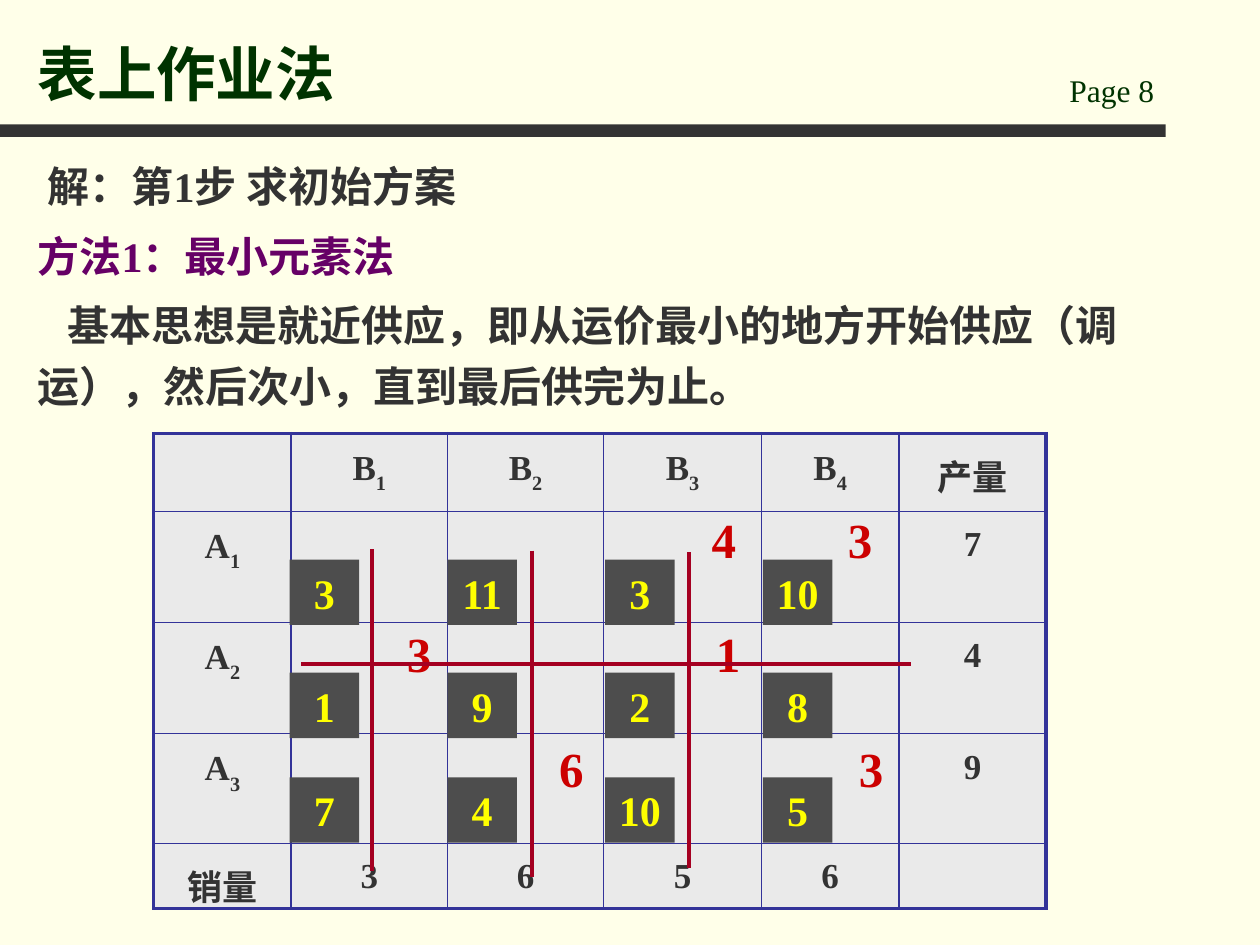
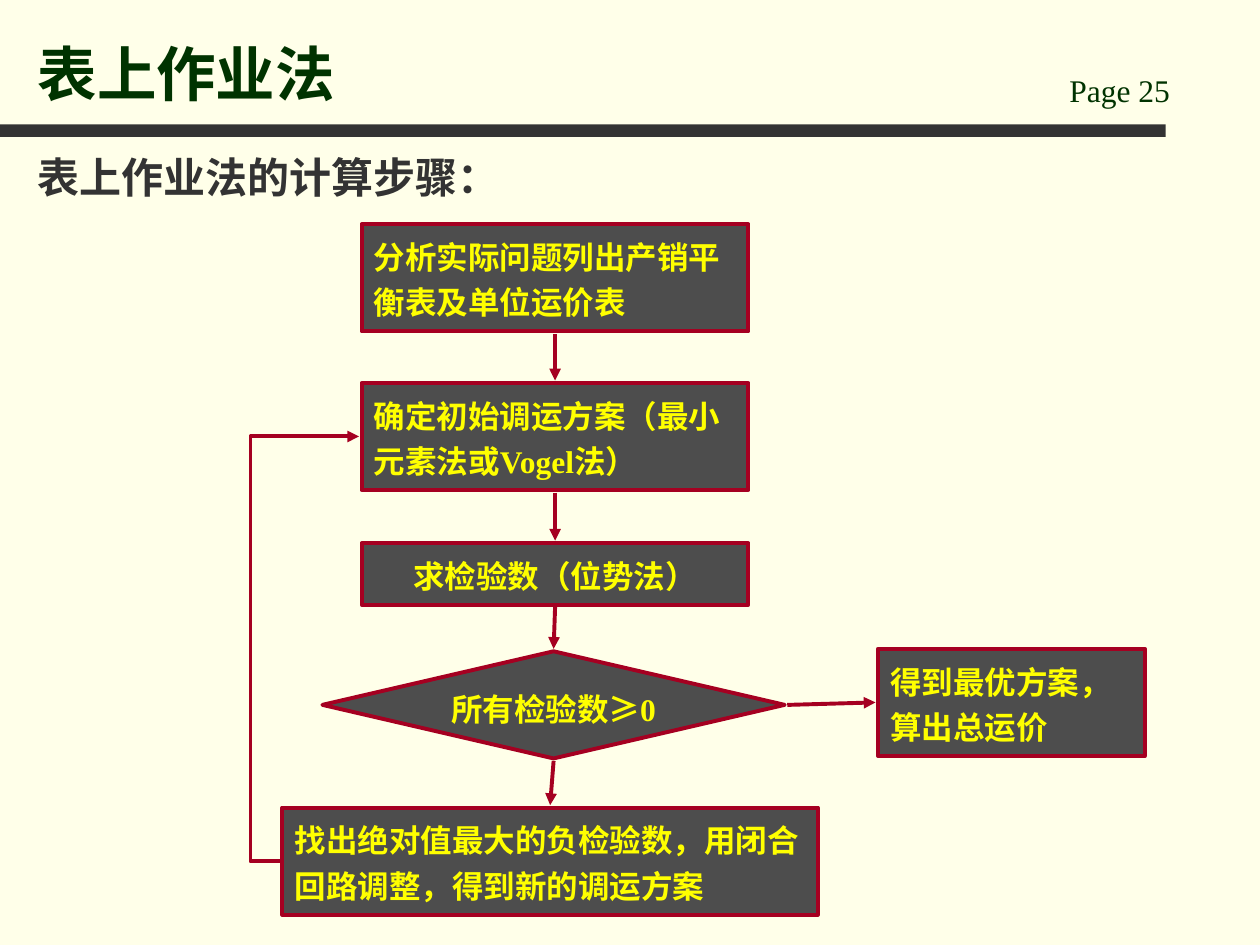
from lxml import etree
from pptx import Presentation
from pptx.dml.color import RGBColor
from pptx.enum.shapes import MSO_CONNECTOR, MSO_SHAPE
from pptx.enum.text import MSO_ANCHOR, PP_ALIGN
from pptx.oxml.ns import qn
from pptx.util import Cm, Pt

RECTANGLE, DECISION = MSO_SHAPE.RECTANGLE, MSO_SHAPE.FLOWCHART_DECISION
STRAIGHT, ELBOW = MSO_CONNECTOR.STRAIGHT, MSO_CONNECTOR.ELBOW
TOP, MIDDLE, BOTTOM = MSO_ANCHOR.TOP, MSO_ANCHOR.MIDDLE, MSO_ANCHOR.BOTTOM
LEFT, CENTER = PP_ALIGN.LEFT, PP_ALIGN.CENTER

FONT = "Times New Roman"
CREAM = RGBColor(0xFF, 0xFF, 0xE9)
CHARCOAL = RGBColor(0x33, 0x33, 0x33)
DARK_GREEN = RGBColor(0x00, 0x33, 0x00)
PURPLE = RGBColor(0x66, 0x00, 0x66)
BOX_GRAY = RGBColor(0x4D, 0x4D, 0x4D)
CELL_GRAY = RGBColor(0xEA, 0xEA, 0xEA)
BORDER_BLUE = RGBColor(0x33, 0x33, 0x99)
YELLOW = RGBColor(0xFF, 0xFF, 0x00)
RED = RGBColor(0xCC, 0x00, 0x00)
CRIMSON = RGBColor(0xA5, 0x00, 0x21)

# Content; all lengths in centimetres
TITLE = "表上作业法"

STEP_HEADING = "解：第1步 求初始方案"
METHOD_NAME = "方法1：最小元素法"
METHOD_IDEA = "基本思想是就近供应，即从运价最小的地方开始供应（调运），然后次小，直到最后供完为止。"

# A tuple is a letter with its subscript
BALANCE_TABLE = [
    ["", ("B", "1"), ("B", "2"), ("B", "3"), ("B", "4"), "产量"],
    [("A", "1"), "", "", "", "", "7"],
    [("A", "2"), "", "", "", "", "4"],
    [("A", "3"), "", "", "", "", "9"],
    ["销量", "3", "6", "5", "6", ""],
]
COLUMN_WIDTHS = [2.77, 3.15, 3.15, 3.18, 2.77, 2.97]
ROW_HEIGHTS = [1.57, 2.24, 2.24, 2.21, 1.32]

COST_ROWS = [  # top, unit costs
    (11.28, ["3", "11", "3", "10"]),
    (13.56, ["1", "9", "2", "8"]),
    (15.67, ["7", "4", "10", "5"]),
]
COST_LEFT, COST_PITCH = 5.84, 3.18
NUMBER_WIDTH, NUMBER_HEIGHT = 1.4, 1.32

SHIPMENTS = [  # amount, centre
    ("4", 14.59, 10.87), ("3", 17.34, 10.87),
    ("3", 8.45, 13.16), ("1", 14.68, 13.16),
    ("6", 11.52, 15.49), ("3", 17.56, 15.49),
]
STRIKE_LINES = [
    ((7.49, 11.07), (7.49, 17.55)),
    ((10.72, 11.1), (10.72, 17.68)),
    ((13.89, 11.13), (13.89, 17.5)),
    ((6.07, 13.39), (18.36, 13.39)),
]

STEPS_HEADING = "表上作业法的计算步骤："
FLOW_BOXES = {  # name: text, (left, top, width, height), shape, alignment
    "list": ("分析实际问题列出产销平衡表及单位运价表",
             (7.29, 4.52, 7.8, 2.16), RECTANGLE, LEFT),
    "initial": ("确定初始调运方案（最小元素法或Vogel法）",
                (7.29, 7.72, 7.8, 2.16), RECTANGLE, LEFT),
    "test": ("求检验数（位势法）", (7.29, 10.95, 7.8, 1.24), RECTANGLE, CENTER),
    "decision": ("所有检验数≥0", (6.5, 13.13, 9.32, 2.16), DECISION, CENTER),
    "adjust": ("找出绝对值最大的负检验数，用闭合回路调整，得到新的调运方案",
               (5.69, 16.28, 10.8, 2.16), RECTANGLE, LEFT),
    "result": ("得到最优方案，算出总运价", (17.7, 13.08, 5.38, 2.16), RECTANGLE, LEFT),
}
DOWNWARD_FLOW = ["list", "initial", "test", "decision", "adjust"]
ARROW_GAP = 0.05
LOOP_LEFT = 5.05


def format_paragraph(paragraph, size, color, bold=True, align=LEFT, spacing=1.0):
    paragraph.alignment = align
    paragraph.line_spacing = spacing
    for run in paragraph.runs:
        run.font.name = FONT
        run.font.size = Pt(size)
        run.font.bold = bold
        run.font.color.rgb = color


def write(shape, text, size, color, bold=True, align=LEFT, anchor=TOP,
          spacing=1.0, wrap=True):
    text_frame = shape.text_frame
    text_frame.text = text
    text_frame.word_wrap = wrap
    text_frame.vertical_anchor = anchor
    format_paragraph(text_frame.paragraphs[0], size, color, bold, align, spacing)
    return text_frame


def add_text(slide, box, text, size, color, **style):
    textbox = slide.shapes.add_textbox(*map(Cm, box))
    return write(textbox, text, size, color, **style)


def add_box(slide, box, fill, kind=RECTANGLE, outline=None):
    shape = slide.shapes.add_shape(kind, *map(Cm, box))
    shape.shadow.inherit = False
    shape.fill.solid()
    shape.fill.fore_color.rgb = fill
    if outline is None:
        shape.line.fill.background()
    else:
        shape.line.color.rgb = outline
        shape.line.width = Pt(2.25)
    return shape


def add_line(slide, start, end, kind=STRAIGHT, arrow=False):
    connector = slide.shapes.add_connector(kind, *map(Cm, start + end))
    connector.line.color.rgb = CRIMSON
    connector.line.width = Pt(2.25)
    properties = connector._element.spPr
    if arrow:
        etree.SubElement(properties.find(qn("a:ln")), qn("a:tailEnd"), type="triangle")
    etree.SubElement(properties, qn("a:effectLst"))
    return connector


def add_base_slide(presentation, page):
    slide = presentation.slides.add_slide(presentation.slide_layouts[6])
    slide.background.fill.solid()
    slide.background.fill.fore_color.rgb = CREAM
    add_box(slide, (0, 2.51, 23.5, 0.25), CHARCOAL)
    add_text(slide, (21.31, 1.3, 3.61, 1.02), f"Page {page}", 18, DARK_GREEN, bold=False)
    add_text(slide, (0.51, 0.33, 20.4, 1.98), TITLE, 34, DARK_GREEN, anchor=BOTTOM)
    return slide


def set_borders(cell, widths):
    properties = cell._tc.get_or_add_tcPr()
    for index, (side, width) in enumerate(zip("LRTB", widths)):
        line = etree.Element(qn(f"a:ln{side}"), w=str(Pt(width)))
        fill = etree.SubElement(line, qn("a:solidFill"))
        etree.SubElement(fill, qn("a:srgbClr"), val=str(BORDER_BLUE))
        properties.insert(index, line)


def add_balance_table(slide):
    last_row, last_column = len(ROW_HEIGHTS) - 1, len(COLUMN_WIDTHS) - 1
    table = slide.shapes.add_table(
        last_row + 1, last_column + 1, Cm(3.1), Cm(8.74),
        Cm(sum(COLUMN_WIDTHS)), Cm(sum(ROW_HEIGHTS))).table
    table.first_row = table.horz_banding = False
    for column, width in zip(table.columns, COLUMN_WIDTHS):
        column.width = Cm(width)
    for row, height in zip(table.rows, ROW_HEIGHTS):
        row.height = Cm(height)

    for r, values in enumerate(BALANCE_TABLE):
        for c, value in enumerate(values):
            cell = table.cell(r, c)
            cell.fill.solid()
            cell.fill.fore_color.rgb = CELL_GRAY
            outer_sides = (c == 0, c == last_column, r == 0, r == last_row)
            set_borders(cell, [2.25 if outer else 1 for outer in outer_sides])
            paragraph = cell.text_frame.paragraphs[0]
            for part in value:
                paragraph.add_run().text = part
            format_paragraph(paragraph, 20, CHARCOAL, align=CENTER, spacing=1.2)
            if isinstance(value, tuple):
                paragraph.runs[1].font._element.set("baseline", "-30000")


def build_initial_plan(presentation):
    slide = add_base_slide(presentation, 8)
    add_text(slide, (0.71, 3.12, 22.61, 1.4), STEP_HEADING, 24, CHARCOAL)

    # Method description
    text_frame = add_text(slide, (0.51, 4.32, 23.22, 4.11), METHOD_NAME, 24, PURPLE,
                          spacing=1.2)
    paragraph = text_frame.add_paragraph()
    paragraph.text = METHOD_IDEA
    paragraph.space_before = Pt(5)
    paragraph._p.get_or_add_pPr().set("indent", str(Cm(0.6)))
    format_paragraph(paragraph, 24, CHARCOAL, spacing=1.2)

    add_balance_table(slide)

    # Unit costs in the table's cells
    for top, costs in COST_ROWS:
        for column, cost in enumerate(costs):
            left = COST_LEFT + column * COST_PITCH
            shape = add_box(slide, (left, top, NUMBER_WIDTH, NUMBER_HEIGHT), BOX_GRAY)
            write(shape, cost, 24, YELLOW, align=CENTER, anchor=MIDDLE, wrap=False)

    # Shipped amounts, then the struck-out rows and columns
    for amount, x, y in SHIPMENTS:
        box = (x - NUMBER_WIDTH / 2, y - NUMBER_HEIGHT / 2, NUMBER_WIDTH, NUMBER_HEIGHT)
        add_text(slide, box, amount, 28, RED, align=CENTER, anchor=MIDDLE, wrap=False)
    for start, end in STRIKE_LINES:
        add_line(slide, start, end)


def edge_point(name, side):
    """Point just outside the middle of one side of a flow box."""
    left, top, width, height = FLOW_BOXES[name][1]
    return {
        "top": (left + width / 2, top - ARROW_GAP),
        "bottom": (left + width / 2, top + height + ARROW_GAP),
        "left": (left - ARROW_GAP, top + height / 2),
        "right": (left + width + ARROW_GAP, top + height / 2),
    }[side]


def build_flow_chart(presentation):
    slide = add_base_slide(presentation, 25)
    add_text(slide, (0.51, 2.72, 22.61, 1.6), STEPS_HEADING, 24, CHARCOAL, spacing=1.2)

    for text, box, kind, align in FLOW_BOXES.values():
        shape = add_box(slide, box, BOX_GRAY, kind, CRIMSON)
        anchor = MIDDLE if kind == DECISION else TOP
        write(shape, text, 18, YELLOW, align=align, anchor=anchor, spacing=1.2)

    # Straight arrows
    for upper, lower in zip(DOWNWARD_FLOW, DOWNWARD_FLOW[1:]):
        add_line(slide, edge_point(upper, "bottom"), edge_point(lower, "top"), arrow=True)
    add_line(slide, edge_point("decision", "right"), edge_point("result", "left"), arrow=True)

    # Loop back to the initial plan, bending left of both boxes
    start, end = edge_point("adjust", "left"), edge_point("initial", "left")
    loop = add_line(slide, start, end, ELBOW, arrow=True)
    bend = round((LOOP_LEFT - start[0]) / (end[0] - start[0]) * 100000)
    adjustments = loop._element.spPr.find(qn("a:prstGeom")).get_or_add_avLst()
    etree.SubElement(adjustments, qn("a:gd"), name="adj1", fmla=f"val {bend}")


def main():
    presentation = Presentation()
    presentation.slide_width, presentation.slide_height = Cm(25.4), Cm(19.05)
    build_initial_plan(presentation)
    build_flow_chart(presentation)
    presentation.save("out.pptx")


if __name__ == "__main__":
    main()
